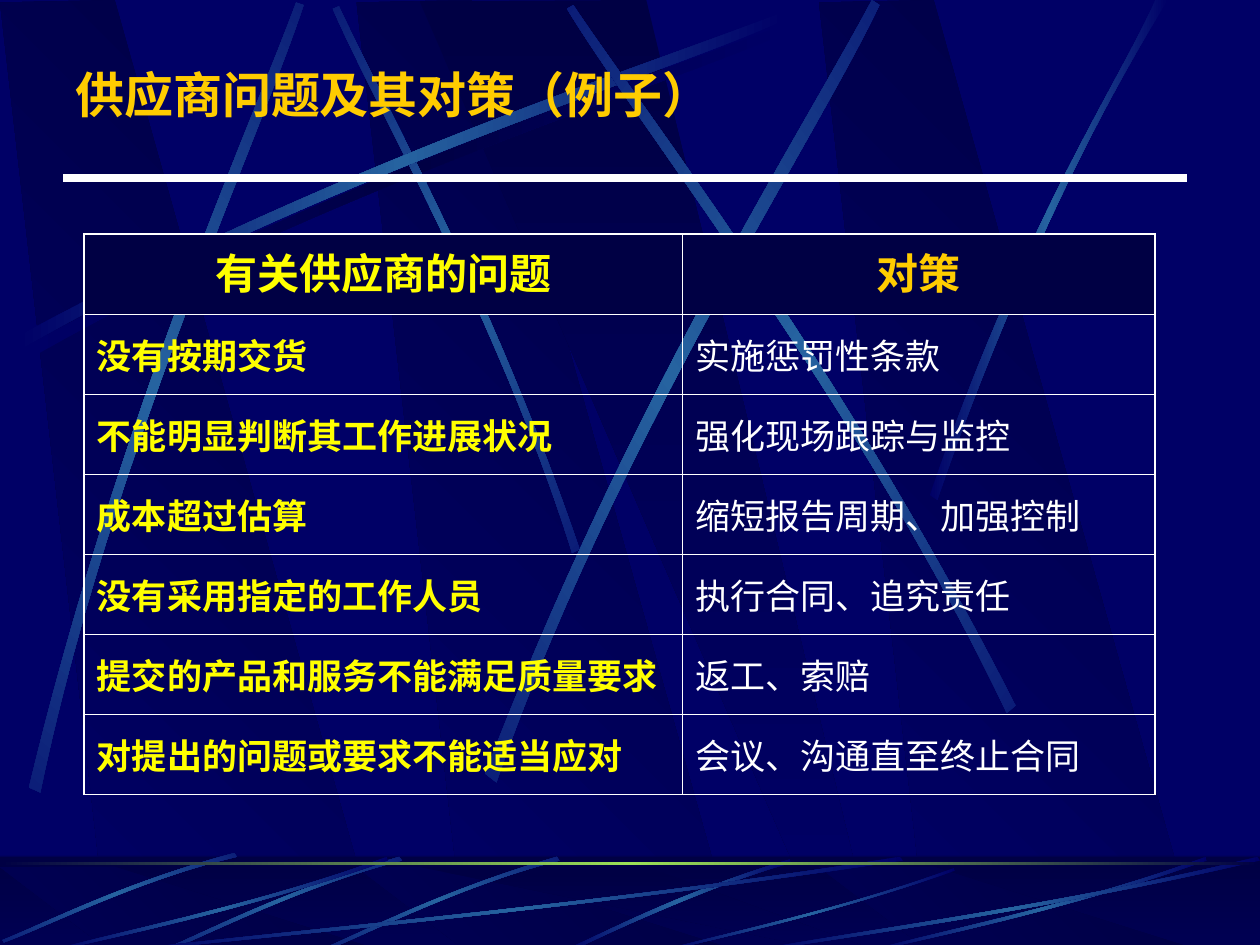
from math import cos, radians, sin

from lxml import etree
from pptx import Presentation
from pptx.dml.color import RGBColor
from pptx.enum.shapes import MSO_CONNECTOR, MSO_SHAPE
from pptx.enum.text import MSO_ANCHOR, PP_ALIGN
from pptx.oxml.ns import qn
from pptx.util import Cm, Pt

LINE = MSO_CONNECTOR.STRAIGHT
RECT = MSO_SHAPE.RECTANGLE
MIDDLE, TOP = MSO_ANCHOR.MIDDLE, MSO_ANCHOR.TOP
LEFT, CENTER = PP_ALIGN.LEFT, PP_ALIGN.CENTER

COLORS = {
    "navy": "000066", "deep": "000044", "glow": "2663A0", "green": "9CE157",
    "gold": "FFCC00", "yellow": "FFFF00", "white": "FFFFFF",
}
UNIT = Cm(0.0254)  # background points are counted in these steps
GLOW = ("navy", "glow", "navy")
SHADE = ("navy", "deep", "navy")

PANEL = [(86, 750), (302, 752), (91, 0), (0, 2)]
PANEL_OFFSETS = (283, 0, 650)
WEDGE = [(333, 1), (658, 751), (694, 751), (513, 0)]
FLOOR_TOP, FLOOR_SCALE = 688, 0.088

# Each streak: four control points of one edge, then four of the way back
SWEEP = [(14, 267), (278, 125), (518, 51), (620, 10),
         (623, 16), (522, 61), (248, 143), (17, 277)]
BEAMS = [  # control points, turn in degrees
    ([(460, 436), (391, 234), (302, 77), (269, 5),
      (264, 7), (295, 79), (398, 258), (454, 439)], 45),
    (SWEEP, 0),
    ([(23, 625), (93, 334), (197, 105), (235, 2),
      (241, 4), (207, 108), (86, 368), (32, 629)], 311.7),
    ([(385, 614), (498, 320), (638, 102), (692, 0),
      (698, 4), (649, 108), (486, 355), (394, 621)], 321.6),
    ([(806, 560), (670, 293), (516, 95), (455, 4),
      (450, 7), (507, 101), (685, 325), (799, 566)], 34.8),
    ([(738, 393), (814, 173), (888, 66), (917, 0),
      (927, 0), (836, 145), (769, 322), (744, 397)], 0),
]
SHORT_RAY = [(317, 680), (230, 705), (162, 740), (131, 753),
             (132, 755), (163, 743), (240, 703), (319, 683)]
LONG_RAY = [(308, 683), (193, 723), (88, 744), (43, 755),
            (42, 754), (86, 741), (206, 718), (307, 680)]
FLOOR_RAYS = [  # control points, turn in degrees, shift to the right
    ([(627, 682), (537, 709), (477, 742), (448, 754),
      (453, 755), (490, 737), (571, 700), (628, 685)], 0, 0),
    (SHORT_RAY, 314.9, 125),
    (SHORT_RAY, 314.9, 0),
    ([(186, 677), (99, 700), (33, 734), (2, 746),
      (3, 748), (34, 737), (110, 698), (188, 680)], 314.9, 0),
    ([(717, 683), (449, 723), (206, 744), (103, 755),
      (100, 754), (202, 741), (480, 718), (714, 680)], 0, 0),
    (LONG_RAY, 0, 0),
    ([(758, 691), (658, 726), (567, 745), (528, 755),
      (527, 754), (565, 743), (669, 722), (757, 689)], 0, 0),
    (LONG_RAY, 0, 650),
    ([(1000, 683), (827, 723), (669, 744), (602, 755),
      (600, 754), (666, 741), (846, 718), (998, 680)], 0, 0),
]

TITLE = "供应商问题及其对策（例子）"
HEADERS = [("有关供应商的问题", "yellow"), ("对策", "gold")]
PROBLEMS = [
    ("没有按期交货", "实施惩罚性条款"),
    ("不能明显判断其工作进展状况", "强化现场跟踪与监控"),
    ("成本超过估算", "缩短报告周期、加强控制"),
    ("没有采用指定的工作人员", "执行合同、追究责任"),
    ("提交的产品和服务不能满足质量要求", "返工、索赔"),
    ("对提出的问题或要求不能适当应对", "会议、沟通直至终止合同"),
]


def rgb(name):
    return RGBColor.from_string(COLORS[name])


def fill_gradient(shape, names, angle):
    """Spread the named colours evenly; the angle runs clockwise."""
    shape.shadow.inherit = False
    shape.line.fill.background()
    shape.fill.gradient()
    gradient = shape._element.spPr.find(qn("a:gradFill"))
    stops = gradient.find(qn("a:gsLst"))
    stops.clear()
    for i, name in enumerate(names):
        position = round(100000 * i / (len(names) - 1))
        stop = etree.SubElement(stops, qn("a:gs"), pos=str(position))
        etree.SubElement(stop, qn("a:srgbClr"), val=COLORS[name])
    direction = gradient.find(qn("a:lin"))
    direction.set("ang", str(angle * 60000))
    direction.set("scaled", "0")


def add_outline(slide, points, names, angle):
    start, *others = [(round(x * UNIT), round(y * UNIT)) for x, y in points]
    builder = slide.shapes.build_freeform(*start)
    builder.add_line_segments(others, close=True)
    shape = builder.convert_to_shape()
    fill_gradient(shape, names, angle)
    return shape


def rotate(point, degrees):
    x, y = point
    c, s = cos(radians(degrees)), sin(radians(degrees))
    return x * c - y * s, x * s + y * c


def bend_edges(shape):
    """Turn the two long edges of an eight-point outline into curves."""
    segments = list(shape._element.iter(qn("a:lnTo")))
    for edge in (segments[:3], segments[4:]):
        bend = etree.Element(qn("a:cubicBezTo"))
        edge[0].addprevious(bend)
        for segment in edge:
            bend.append(segment[0])
            segment.getparent().remove(segment)


def add_streak(slide, controls, names, turn=0, dx=0, dy=0):
    """Draw a streak level, then turn it into its place."""
    level = [rotate((x + dx, y + dy), -turn) for x, y in controls]
    streak = add_outline(slide, level, names, 180)
    bend_edges(streak)
    half_width, half_height = streak.width / 2, streak.height / 2
    x, y = rotate((streak.left + half_width, streak.top + half_height), turn)
    streak.left, streak.top = round(x - half_width), round(y - half_height)
    streak.rotation = turn


def add_band(slide, top, height):
    return slide.shapes.add_shape(RECT, 0, Cm(top), Cm(25.4), Cm(height))


def add_panels(slide, top=0, scale=1):
    def place(points, dx=0):
        return [(x + dx, top + y * scale) for x, y in points]

    for offset in PANEL_OFFSETS:
        add_outline(slide, place(PANEL, offset), ("deep", "navy"), 135)
    add_outline(slide, place(WEDGE), ("deep", "navy"), 90)


def add_backdrop(slide):
    slide.background.fill.solid()
    slide.background.fill.fore_color.rgb = rgb("navy")
    add_panels(slide)
    add_streak(slide, SWEEP, SHADE, dx=6, dy=8)
    for controls, turn in BEAMS:
        add_streak(slide, controls, GLOW, turn)

    fill_gradient(add_band(slide, 17.27, 1.9), ("deep", "navy"), 90)
    add_panels(slide, FLOOR_TOP, FLOOR_SCALE)
    veil = add_band(slide, 17.25, 1.9)
    veil.shadow.inherit = False
    veil.line.fill.background()
    veil.fill.solid()
    veil.fill.fore_color.rgb = rgb("deep")
    tint = veil._element.spPr.find(qn("a:solidFill"))[0]
    etree.SubElement(tint, qn("a:alpha"), val="50000")
    for controls, turn, dx in FLOOR_RAYS:
        add_streak(slide, controls, GLOW, turn, dx)
    fill_gradient(add_band(slide, 17.37, 0.06), ("deep", "green", "deep"), 180)


def write(frame, text, size, font, color, bold, align=LEFT, before=0):
    paragraph = frame.paragraphs[0]
    paragraph.text = text
    paragraph.alignment = align
    paragraph.space_before = Pt(before)
    paragraph.font.size = Pt(size)
    paragraph.font.name = font
    paragraph.font.bold = bold
    paragraph.font.color.rgb = rgb(color)


def add_heading(slide):
    heading = slide.shapes.add_textbox(Cm(1.27), Cm(1.17), Cm(22.86), Cm(1.45))
    heading.text_frame.word_wrap = True
    heading.text_frame.vertical_anchor = MIDDLE
    write(heading.text_frame, TITLE, 28, "Montserrat", "gold", True)
    rule = slide.shapes.add_connector(LINE, Cm(1.27), Cm(3.59), Cm(23.92), Cm(3.59))
    rule.line.width = Pt(4.5)
    rule.line.color.rgb = rgb("white")
    etree.SubElement(rule._element.spPr, qn("a:effectLst"))


def set_borders(cell, outer_sides):
    properties = cell._tc.get_or_add_tcPr()
    for i, side in enumerate("LRTB"):
        width = Pt(1.08 if side in outer_sides else 0.45)
        border = etree.Element(qn(f"a:ln{side}"), w=str(width))
        paint = etree.SubElement(border, qn("a:solidFill"))
        etree.SubElement(paint, qn("a:srgbClr"), val=COLORS["white"])
        properties.insert(i, border)


def add_problem_table(slide):
    count = len(PROBLEMS) + 1
    table = slide.shapes.add_table(
        count, 2, Cm(1.7), Cm(4.72), Cm(21.59), Cm(11.3)).table
    table.first_row = table.horz_banding = False
    table.columns[0].width, table.columns[1].width = Cm(12.06), Cm(9.53)
    for cell, (text, color) in zip(table.rows[0].cells, HEADERS):
        cell.fill.solid()
        cell.fill.fore_color.rgb = rgb("deep")
        cell.vertical_anchor = TOP
        write(cell.text_frame, text, 24, "Times New Roman", color, True, CENTER, 6)
    for r, (problem, remedy) in enumerate(PROBLEMS, 1):
        for cell in table.rows[r].cells:
            cell.fill.background()
            cell.vertical_anchor = MIDDLE
        write(table.cell(r, 0).text_frame, problem, 20, "Times New Roman",
              "yellow", True, before=5)
        write(table.cell(r, 1).text_frame, remedy, 20, "Arial",
              "white", False, before=5)
    for r in range(count):
        edge = {0: "T", count - 1: "B"}.get(r, "")
        for c, side in enumerate("LR"):
            set_borders(table.cell(r, c), side + edge)


def main():
    deck = Presentation()
    deck.slide_width, deck.slide_height = Cm(25.4), Cm(19.05)
    slide = deck.slides.add_slide(deck.slide_layouts[6])
    add_backdrop(slide)
    add_heading(slide)
    add_problem_table(slide)
    deck.save("out.pptx")


if __name__ == "__main__":
    main()
